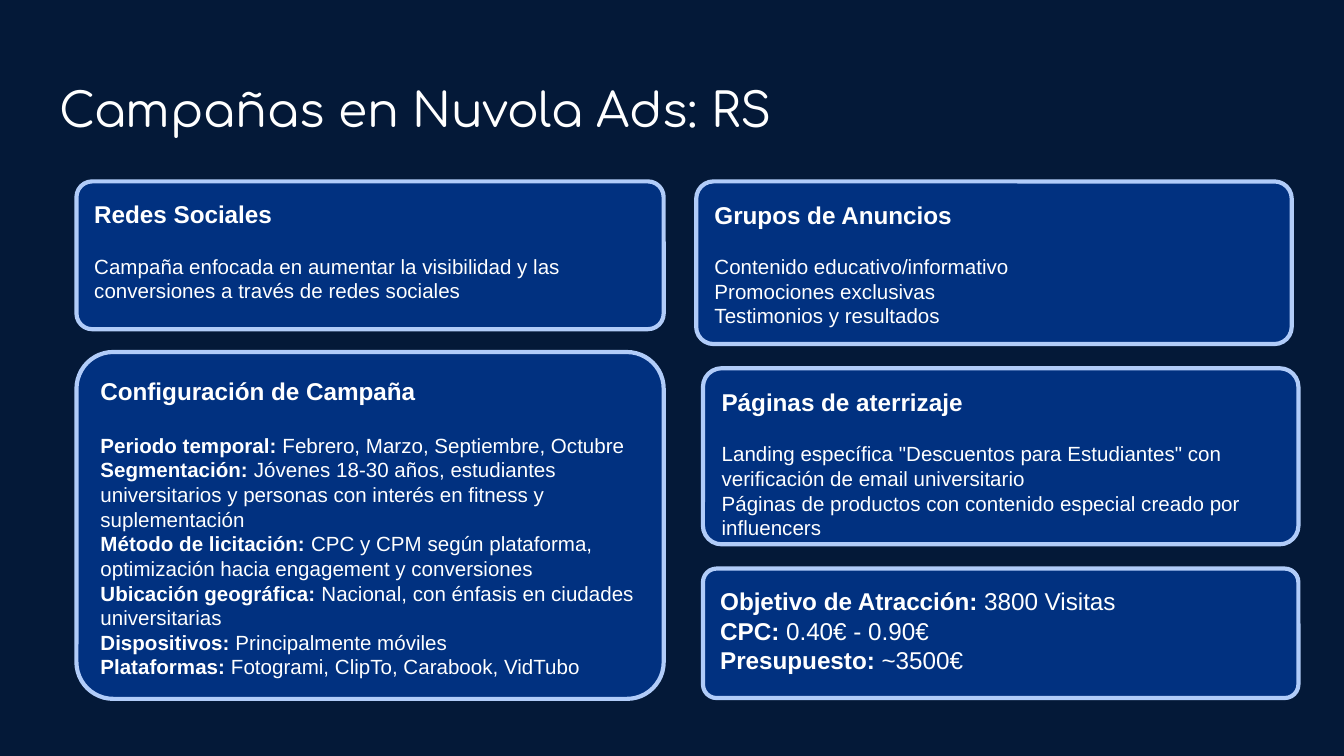
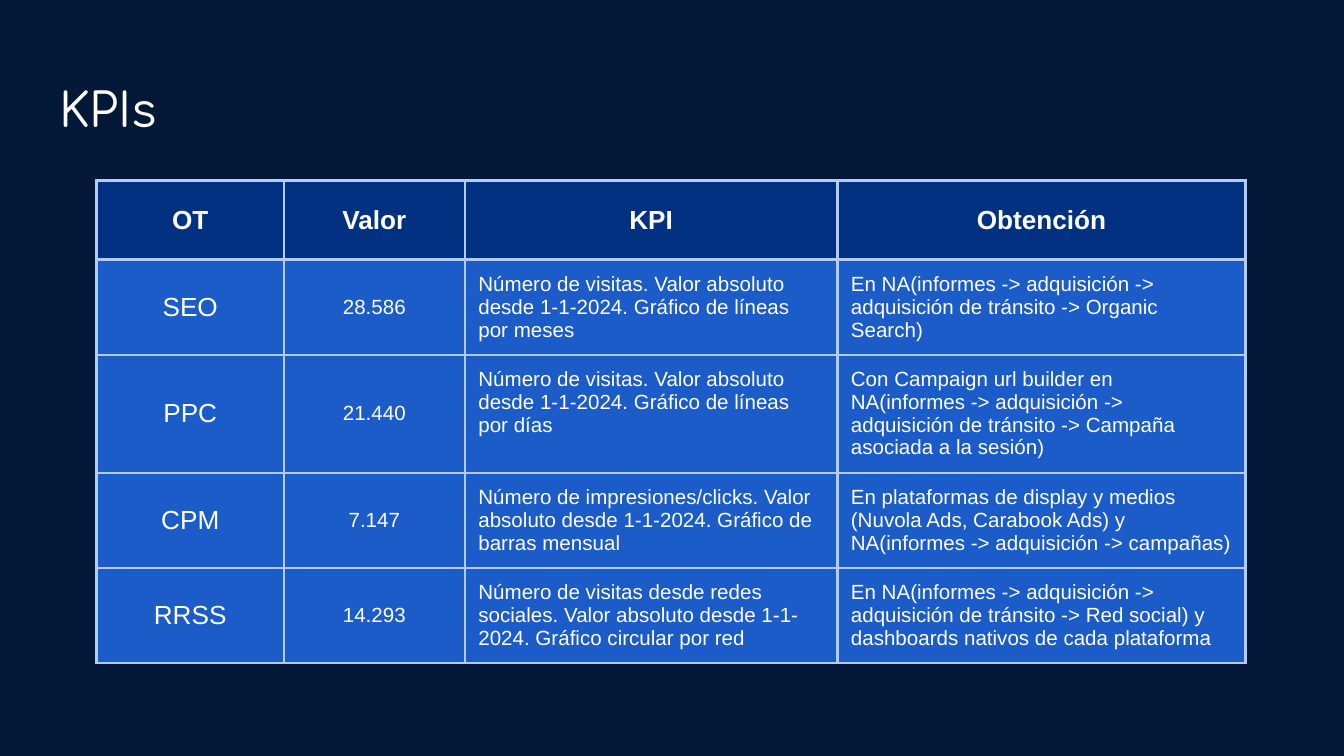
from lxml.etree import SubElement
from pptx import Presentation
from pptx.dml.color import RGBColor
from pptx.enum.shapes import MSO_SHAPE
from pptx.enum.text import MSO_ANCHOR as Anchor, PP_ALIGN as Align
from pptx.oxml.ns import qn
from pptx.util import Pt

NIGHT = RGBColor(0x04, 0x19, 0x38)
NAVY = RGBColor(0x01, 0x31, 0x80)
BLUE = RGBColor(0x1B, 0x5C, 0xC8)
PALE = RGBColor(0xB1, 0xCC, 0xF9)
WHITE = RGBColor(0xFF, 0xFF, 0xFF)

INSET = Pt(7.2)
FRAME_FORMAT = {
    "word_wrap": True,
    "margin_left": INSET,
    "margin_right": INSET,
    "margin_top": INSET,
    "margin_bottom": INSET,
}
CELL_MARGINS = {name: value for name, value in FRAME_FORMAT.items() if name != "word_wrap"}
TITLE_FONT = {"name": "Comfortaa", "size": Pt(25.2), "bold": False}
HEADING_FONT = {"name": "Arial", "size": Pt(13), "bold": True}
LARGE_FONT = {**HEADING_FONT, "bold": False}
BODY_FONT = {"name": "Arial", "size": Pt(11), "bold": False}
CODE_FONT = {**BODY_FONT, "size": Pt(14)}
HEADER_FONT = {**CODE_FONT, "bold": True}

HEADING_LINE = Pt(15.8)
BODY_LINE = Pt(13.2)
CELL_LINE = Pt(12.2)

TITLE_BOX = (24.5, 35.3, 671, 45.4)
LEFT, MIDDLE, RIGHT = 41, 373, 376.6
LEFT_WIDTH, RIGHT_WIDTH = 314.6, 319

CARDS = [
    ((LEFT, 97.2, LEFT_WIDTH, 79.2), "Redes Sociales", 13.2, [
        ("", "Campaña enfocada en aumentar la visibilidad y las conversiones a través de redes sociales"),
    ]),
    ((LEFT, 188.6, LEFT_WIDTH, 185.8), "Configuración de Campaña", 14.4, [
        ("Periodo temporal:", " Febrero, Marzo, Septiembre, Octubre"),
        ("Segmentación:", " Jóvenes 18-30 años, estudiantes universitarios y personas con interés"
                          " en fitness y suplementación"),
        ("Método de licitación:", " CPC y CPM según plataforma, optimización hacia engagement y conversiones"),
        ("Ubicación geográfica:", " Nacional, con énfasis en ciudades universitarias"),
        ("Dispositivos:", " Principalmente móviles"),
        ("Plataformas:", " Fotogrami, ClipTo, Carabook, VidTubo"),
    ]),
    ((MIDDLE, 97.2, RIGHT_WIDTH, 87.1), "Grupos de Anuncios", 13.2, [
        ("", "Contenido educativo/informativo"),
        ("", "Promociones exclusivas"),
        ("", "Testimonios y resultados"),
    ]),
    ((RIGHT, 197.3, RIGHT_WIDTH, 94.3), "Páginas de aterrizaje", 13.2, [
        ("", 'Landing específica "Descuentos para Estudiantes" con verificación de email universitario'),
        ("", "Páginas de productos con contenido especial creado por influencers"),
    ]),
]
GOALS_BOX = (RIGHT, 304.6, RIGHT_WIDTH, 69.4)
GOALS = [
    ("Objetivo de Atracción:", " 3800 Visitas"),
    ("CPC: ", "0.40€ - 0.90€"),
    ("Presupuesto: ", "~3500€"),
]

TABLE_BOX = (51.8, 96.6, 615.6, 212.5)
COLUMN_WIDTHS = [100.3, 97, 199.6, 218.7]
KPI_ROWS = [
    ("OT", "Valor", "KPI", "Obtención"),
    ("SEO", "28.586",
     "Número de visitas. Valor absoluto desde 1-1-2024. Gráfico de líneas por meses",
     "En NA(informes -> adquisición -> adquisición de tránsito -> Organic Search)"),
    ("PPC", "21.440",
     "Número de visitas. Valor absoluto desde 1-1-2024. Gráfico de líneas por días",
     "Con Campaign url builder en NA(informes -> adquisición -> adquisición de tránsito"
     " -> Campaña asociada a la sesión)"),
    ("CPM", "7.147",
     "Número de impresiones/clicks. Valor absoluto desde 1-1-2024. Gráfico de barras mensual",
     "En plataformas de display y medios (Nuvola Ads, Carabook Ads) y"
     " NA(informes -> adquisición -> campañas)"),
    ("RRSS", "14.293",
     "Número de visitas desde redes sociales. Valor absoluto desde 1-1-2024. Gráfico circular por red",
     "En NA(informes -> adquisición -> adquisición de tránsito -> Red social)"
     " y dashboards nativos de cada plataforma"),
]


def apply(target, formats):
    """Set each attribute named in the dict on the target."""
    for name, value in formats.items():
        setattr(target, name, value)


def in_points(box):
    """Convert a box of numbers to point lengths."""
    return [Pt(value) for value in box]


def add_run(paragraph, text, font_format):
    """Append a white run in the given font."""
    run = paragraph.add_run()
    run.text = text
    apply(run.font, font_format)
    run.font.color.rgb = WHITE


def add_titled_slide(presentation, title):
    """Add a title-only slide and format its title."""
    slide = presentation.slides.add_slide(presentation.slide_layouts[5])
    shape = slide.shapes.title
    apply(shape, dict(zip(("left", "top", "width", "height"), in_points(TITLE_BOX))))
    frame = shape.text_frame
    apply(frame, {**FRAME_FORMAT, "vertical_anchor": Anchor.MIDDLE})
    paragraph = frame.paragraphs[0]
    paragraph.alignment = Align.LEFT
    add_run(paragraph, title, TITLE_FONT)
    return slide


def add_card(slide, box, lines):
    """Draw a rounded card with lines of (runs, line height, space before)."""
    shape = slide.shapes.add_shape(MSO_SHAPE.ROUNDED_RECTANGLE, *in_points(box))
    shape.adjustments[0] = 0.106
    shape.shadow.inherit = False
    shape.fill.solid()
    shape.fill.fore_color.rgb = NAVY
    shape.line.color.rgb = PALE
    shape.line.width = Pt(2.25)
    frame = shape.text_frame
    apply(frame, {**FRAME_FORMAT, "vertical_anchor": Anchor.TOP})
    for index, (runs, height, space) in enumerate(lines):
        paragraph = frame.add_paragraph() if index else frame.paragraphs[0]
        apply(paragraph, {"alignment": Align.LEFT, "line_spacing": height, "space_before": Pt(space)})
        for text, font_format in runs:
            if text:
                add_run(paragraph, text, font_format)


def add_topic_card(slide, box, heading, gap, items):
    """Draw a card with a heading above labelled items."""
    lines = [([(heading, HEADING_FONT)], HEADING_LINE, 0)]
    for index, (label, text) in enumerate(items):
        runs = [(label, {**BODY_FONT, "bold": True}), (text, BODY_FONT)]
        lines.append((runs, BODY_LINE, 0 if index else gap))
    add_card(slide, box, lines)


def add_goals_card(slide, box, goals):
    """Draw a card of large labelled figures."""
    add_card(slide, box, [
        ([(label, HEADING_FONT), (figure, LARGE_FONT)], HEADING_LINE, 0) for label, figure in goals
    ])


def add_borders(cell):
    """Outline all four sides of a cell."""
    properties = cell._tc.get_or_add_tcPr()
    for index, side in enumerate(("lnL", "lnR", "lnT", "lnB")):
        line = properties.makeelement(qn(f"a:{side}"), {"w": str(int(Pt(1.5)))})
        fill = SubElement(line, qn("a:solidFill"))
        SubElement(fill, qn("a:srgbClr"), val=str(PALE))
        properties.insert(index, line)


def fill_cell(cell, text, is_header, column):
    """Write and style a table cell by its row kind and column."""
    centred = is_header or column < 2
    apply(cell, {**CELL_MARGINS, "vertical_anchor": Anchor.MIDDLE if centred else Anchor.TOP})
    cell.fill.solid()
    cell.fill.fore_color.rgb = NAVY if is_header else BLUE
    add_borders(cell)
    paragraph = cell.text_frame.paragraphs[0]
    paragraph.alignment = Align.CENTER if centred else Align.LEFT
    if column and not is_header:
        paragraph.line_spacing = CELL_LINE
    font_format = HEADER_FONT if is_header else BODY_FONT if column else CODE_FONT
    add_run(paragraph, text, font_format)


def add_kpi_table(slide, box, rows):
    """Draw the indicator table in the box."""
    frame = slide.shapes.add_table(len(rows), len(COLUMN_WIDTHS), *in_points(box))
    table = frame.table
    apply(table, {"first_row": False, "horz_banding": False})
    for column, width in zip(table.columns, COLUMN_WIDTHS):
        column.width = Pt(width)
    for row_index, texts in enumerate(rows):
        table.rows[row_index].height = Pt(box[3] / len(rows))
        for column, text in enumerate(texts):
            fill_cell(table.cell(row_index, column), text, row_index == 0, column)


def main():
    """Build both slides and save the presentation."""
    presentation = Presentation()
    apply(presentation, {"slide_width": Pt(720), "slide_height": Pt(405)})
    background = presentation.slide_master.background.fill
    background.solid()
    background.fore_color.rgb = NIGHT

    campaign_slide = add_titled_slide(presentation, "Campañas en Nuvola Ads: RS")
    for card in CARDS:
        add_topic_card(campaign_slide, *card)
    add_goals_card(campaign_slide, GOALS_BOX, GOALS)

    kpi_slide = add_titled_slide(presentation, "KPIs")
    add_kpi_table(kpi_slide, TABLE_BOX, KPI_ROWS)
    presentation.save("out.pptx")


if __name__ == "__main__":
    main()
